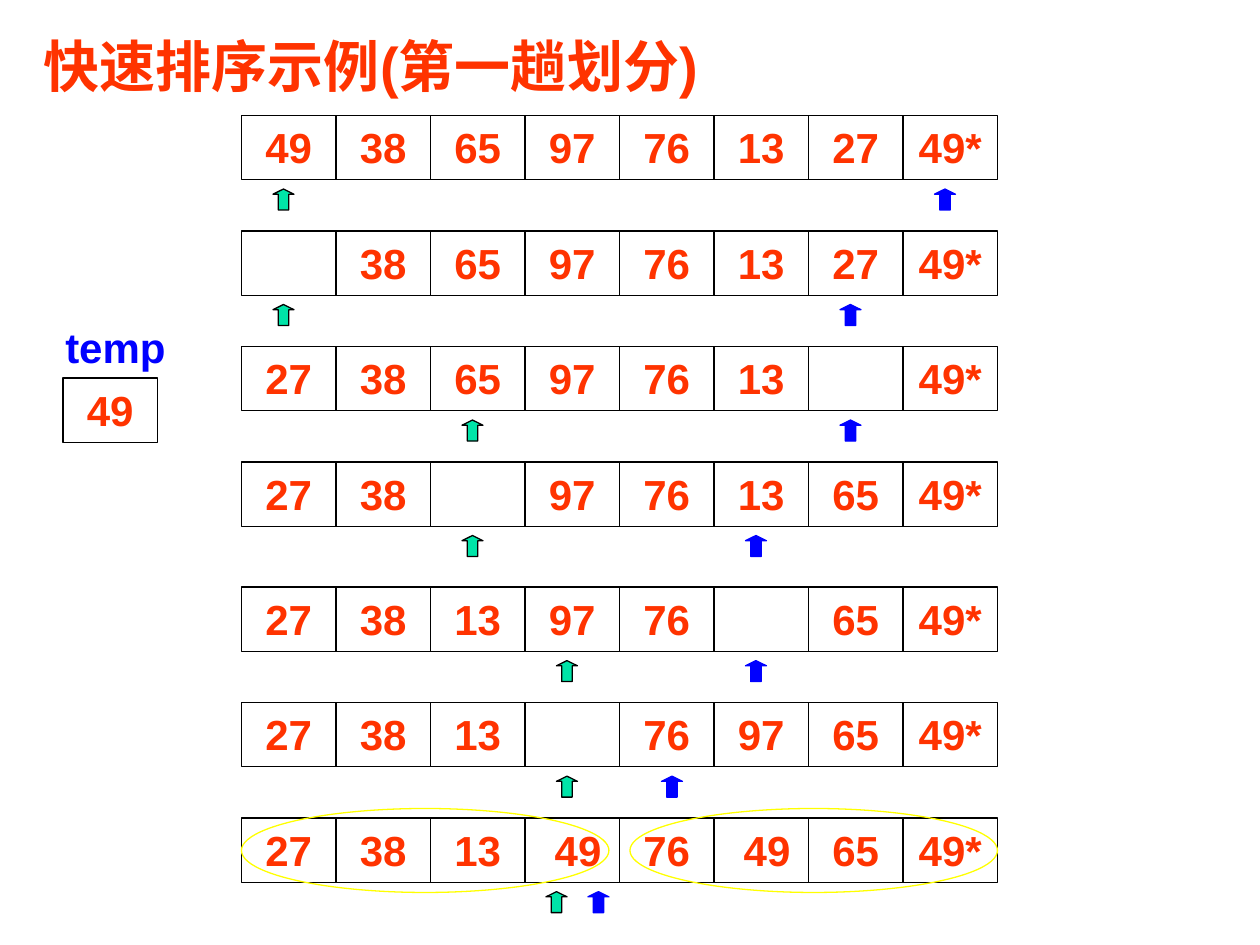
from pptx import Presentation
from pptx.dml.color import RGBColor
from pptx.enum.shapes import MSO_SHAPE
from pptx.enum.text import MSO_ANCHOR, PP_ALIGN
from pptx.util import Pt

TITLE = "快速排序示例(第一趟划分)"
RED, BLUE, GREEN = "FF3300", "0000FF", "00E4A8"
BLACK, YELLOW = "000000", "FFFF00"
LEFT, CELL, TALL, DROP, TIP = 138, 54, 36.72, 42, 12

# top, values, (cell, inset) of the low and high pointers
STEPS = [
    (66, ["49", "38", "65", "97", "76", "13", "27", "49*"], (0, 18), (7, 18)),
    (132, ["", "38", "65", "97", "76", "13", "27", "49*"], (0, 18), (6, 18)),
    (198, ["27", "38", "65", "97", "76", "13", "", "49*"], (2, 18), (6, 18)),
    (264, ["27", "38", "", "97", "76", "13", "65", "49*"], (2, 18), (5, 18)),
    (335.5, ["27", "38", "13", "97", "76", "", "65", "49*"], (3, 18), (5, 18)),
    (401.5, ["27", "38", "13", "", "76", "97", "65", "49*"], (3, 18), (4, 24)),
    (467.5, ["27", "38", "13", " 49 ", "76", " 49 ", "65", "49*"], (3, 12), (3, 36)),
]


def color(code):
    """Turn a hex string into a colour."""
    return RGBColor.from_string(code)


def write(shape, text, size, tint, align, anchor=MSO_ANCHOR.TOP, wrap=True):
    """Put one bold line of text in a shape."""
    frame = shape.text_frame
    frame.word_wrap = wrap
    frame.vertical_anchor = anchor
    par = frame.paragraphs[0]
    par.text = text
    par.alignment = align
    font = par.font
    font.name, font.size, font.bold = "Arial", Pt(size), True
    font.color.rgb = color(tint)


def label(box, *args, **opts):
    """Add a text box."""
    write(slide.shapes.add_textbox(*map(Pt, box)), *args, **opts)


def draw(kind, box, line, fill=None):
    """Add an outlined preset shape."""
    shape = slide.shapes.add_shape(kind, *map(Pt, box))
    shape.shadow.inherit = False
    shape.line.color.rgb = color(line)
    shape.line.width = Pt(0.75)
    if fill:
        shape.fill.solid()
        shape.fill.fore_color.rgb = color(fill)
    else:
        shape.fill.background()
    return shape


def cell(x, y, text):
    """Add one array cell."""
    shape = draw(MSO_SHAPE.RECTANGLE, (x, y, CELL, TALL), BLACK)
    if text:
        write(shape, text, 24, RED, PP_ALIGN.CENTER)


def arrow(spot, top, line, fill):
    """Add a pointer below a row."""
    col, inset = spot
    box = (LEFT + col * CELL + inset, top + DROP, TIP, TIP)
    shape = draw(MSO_SHAPE.UP_ARROW, box, line, fill)
    shape.adjustments[0], shape.adjustments[1] = 0.5, 0.25


deck = Presentation()
deck.slide_width, deck.slide_height = Pt(720), Pt(540)
slide = deck.slides.add_slide(deck.slide_layouts[6])

label((18, 18, 552, 42), TITLE, 32, RED, PP_ALIGN.JUSTIFY, MSO_ANCHOR.BOTTOM)
for top, values, low, high in STEPS:
    for col, text in enumerate(values):
        cell(LEFT + col * CELL, top, text)
    arrow(low, top, BLACK, GREEN)
    arrow(high, top, BLUE, BLUE)

cell(36, 216, "49")
label((30, 180, 72, 36), "temp", 24, BLUE, PP_ALIGN.CENTER, wrap=False)
for x in (LEFT, 360):
    draw(MSO_SHAPE.OVAL, (x, 462, 210, 48), YELLOW)

deck.save("out.pptx")
